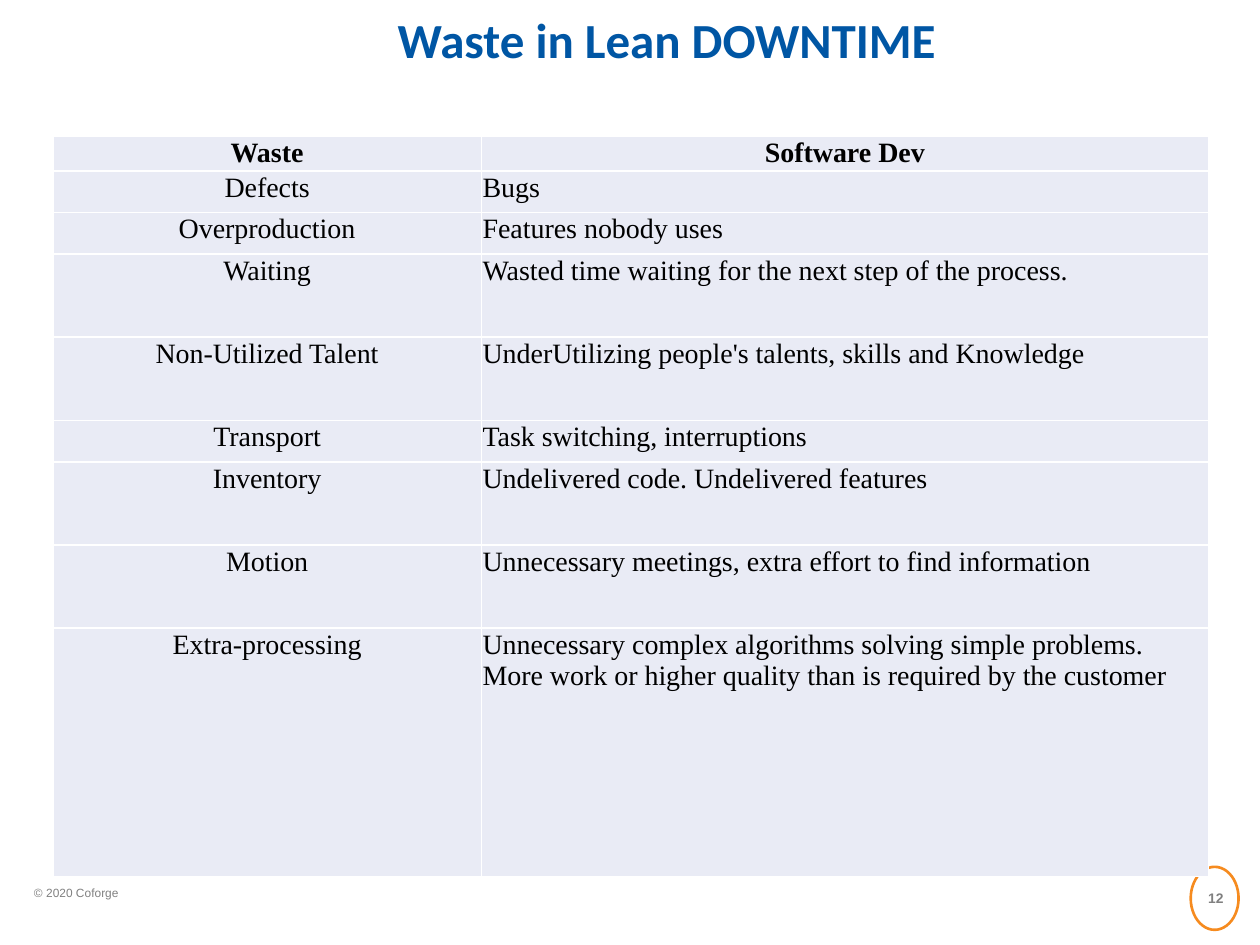
from lxml.etree import SubElement
from pptx import Presentation
from pptx.dml.color import RGBColor
from pptx.enum.shapes import MSO_SHAPE
from pptx.enum.text import MSO_ANCHOR, PP_ALIGN
from pptx.oxml.ns import qn
from pptx.util import Inches, Pt

COLORS = {
    "title": "0056A4",
    "text": "000000",
    "cell": "E9EBF5",
    "border": "FFFFFF",
    "footer": "808080",
    "ring": "F68B1F",
}
ROWS = [
    ("Waste", "Software Dev", 0.16),
    ("Defects", "Bugs", 0.33),
    ("Overproduction", "Features nobody uses", 0.33),
    ("Waiting", "Wasted time waiting for the next step of the process.", 0.66),
    ("Non-Utilized Talent", "UnderUtilizing people's talents, skills and Knowledge", 0.66),
    ("Transport", "Task switching, interruptions", 0.33),
    ("Inventory", "Undelivered code. Undelivered features", 0.66),
    ("Motion", "Unnecessary meetings, extra effort to find information", 0.66),
    ("Extra-processing",
     "Unnecessary complex algorithms solving simple problems.\n"
     "More work or higher quality than is required by the customer", 1.97),
]


def color(name):
    return RGBColor.from_string(COLORS[name])


def write(frame, text, face, size, tint, bold=False, align=PP_ALIGN.LEFT):
    para = frame.paragraphs[0]
    para.text = text
    para.alignment = align
    for run in para.runs:
        run.font.name = face
        run.font.size = Pt(size)
        run.font.bold = bold
        run.font.color.rgb = color(tint)
    return para


def add_text(slide, box, inset=(0, 0)):
    frame = slide.shapes.add_textbox(*map(Inches, box)).text_frame
    frame.word_wrap = True
    frame.margin_left = frame.margin_right = Inches(inset[0])
    frame.margin_top = frame.margin_bottom = Inches(inset[1])
    return frame


def add_title(slide, box):
    frame = add_text(slide, box, (0.1, 0.05))
    frame.vertical_anchor = MSO_ANCHOR.MIDDLE
    para = write(frame, "Waste in Lean DOWNTIME", "Calibri", 28, "title", True, PP_ALIGN.CENTER)
    para.line_spacing = 0.9


def add_footer(slide, box):
    left, top, width, height = box
    frame = add_text(slide, (left, top + 0.15, 2.5, 0.12))
    write(frame, "© 2020 Coforge", "Arial", 6.8, "footer")

    ring_left = left + width - 0.38
    ring = slide.shapes.add_shape(
        MSO_SHAPE.OVAL, *map(Inches, (ring_left, top, 0.38, height)))
    ring.shadow.inherit = False
    ring.fill.background()
    ring.line.color.rgb = color("ring")
    ring.line.width = Pt(1.5)

    frame = add_text(slide, (ring_left - 0.07, top + 0.06, 0.54, 0.38))
    frame.vertical_anchor = MSO_ANCHOR.MIDDLE
    write(frame, "12", "Arial", 7.9, "footer", True, PP_ALIGN.CENTER)


def add_borders(cell):
    props = cell._tc.get_or_add_tcPr()
    for index, side in enumerate(("lnL", "lnR", "lnT", "lnB")):
        line = SubElement(props, qn(f"a:{side}"), w=str(Pt(1)))
        fill = SubElement(line, qn("a:solidFill"))
        SubElement(fill, qn("a:srgbClr"), val=COLORS["border"])
        props.remove(line)
        props.insert(index, line)


def add_grid(slide, box):
    left, top, width, height = box
    table = slide.shapes.add_table(len(ROWS), 2, *map(Inches, box)).table
    table.columns[0].width = Inches(3.4)
    table.columns[1].width = Inches(width - 3.4)
    for row, (waste, example, tall) in enumerate(ROWS):
        table.rows[row].height = Inches(tall)
        for col, text in enumerate((waste, example)):
            cell = table.cell(row, col)
            cell.margin_left = cell.margin_right = cell.margin_top = Inches(0.01)
            cell.margin_bottom = 0
            cell.fill.solid()
            cell.fill.fore_color.rgb = color("cell")
            add_borders(cell)
            head = row == 0
            align = PP_ALIGN.CENTER if head or col == 0 else PP_ALIGN.LEFT
            write(cell.text_frame, text, "Times New Roman", 16, "text", head, align)


def main():
    deck = Presentation()
    deck.slide_width = Inches(10)
    deck.slide_height = Inches(7.5)
    slide = deck.slides.add_slide(deck.slide_layouts[6])
    add_footer(slide, (0.27, 6.88, 9.56, 0.5))
    add_title(slide, (1, 0, 8.58, 0.67))
    add_grid(slide, (0.42, 1.08, 9.17, 5.76))
    deck.save("out.pptx")


if __name__ == "__main__":
    main()
